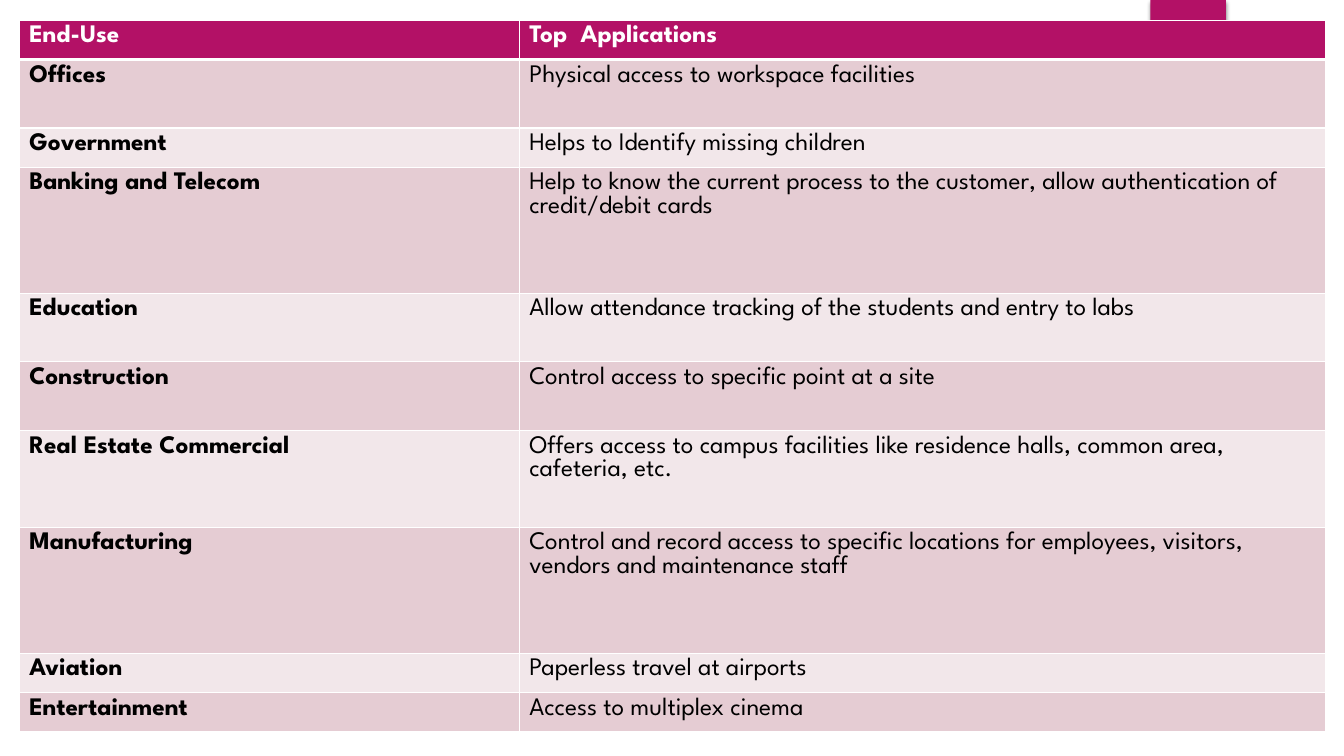
from lxml import etree
from pptx import Presentation
from pptx.dml.color import RGBColor
from pptx.enum.shapes import MSO_SHAPE
from pptx.oxml import parse_xml
from pptx.oxml.ns import nsdecls, qn
from pptx.util import Inches, Pt

RECTANGLE = MSO_SHAPE.RECTANGLE

MAGENTA = "B31166"
ROSE = "E5CCD3"
PALE_ROSE = "F2E7EA"
WHITE = "FFFFFF"
BLACK = "000000"

COLUMN_WIDTHS = [4.96, 8]
# Row height, end-use, top application
ROWS = [
    (0.39, "End-Use", "Top  Applications"),
    (0.68, "Offices", "Physical access to workspace facilities"),
    (0.39, "Government", "Helps to Identify missing children"),
    (1.25, "Banking and Telecom",
     "Help to know the current process to the customer, "
     "allow authentication of credit/debit cards"),
    (0.68, "Education", "Allow attendance tracking of the students and entry to labs"),
    (0.68, "Construction", "Control access to specific point at a site"),
    (0.96, "Real Estate Commercial",
     "Offers access to campus facilities like residence halls, "
     "common area, cafeteria, etc."),
    (1.25, "Manufacturing",
     "Control and record access to specific locations for employees, "
     "visitors, vendors and maintenance staff"),
    (0.39, "Aviation", "Paperless travel at airports"),
    (0.39, "Entertainment", "Access to multiplex cinema"),
]


def color(hex_value):
    return RGBColor.from_string(hex_value)


class SlideBuilder:
    def __init__(self, slide, font="League Spartan", size=18):
        self.slide = slide
        self.font = font
        self.size = size

    def background(self, fill):
        self.slide.background.fill.solid()
        self.slide.background.fill.fore_color.rgb = color(fill)

    def tab(self, left, top, width, height, fill):
        """Add a plain rectangle with a soft shadow below it."""
        shape = self.slide.shapes.add_shape(
            RECTANGLE, Inches(left), Inches(top), Inches(width), Inches(height))
        shape.fill.solid()
        shape.fill.fore_color.rgb = color(fill)
        shape.line.fill.background()
        shape.shadow.inherit = False
        effects = shape.element.spPr.find(qn("a:effectLst"))
        effects.append(parse_xml(
            f'<a:outerShdw {nsdecls("a")} blurRad="{Pt(3)}" dist="{Pt(2)}" '
            f'dir="5400000" rotWithShape="0"><a:srgbClr val="{BLACK}">'
            '<a:alpha val="45000"/></a:srgbClr></a:outerShdw>'))

    def table(self, left, top, column_widths, rows):
        heights = [row[0] for row in rows]
        frame = self.slide.shapes.add_table(
            len(rows), len(column_widths), Inches(left), Inches(top),
            Inches(sum(column_widths)), Inches(sum(heights)))
        table = frame.table
        for column, width in zip(table.columns, column_widths):
            column.width = Inches(width)
        for row_index, (height, *texts) in enumerate(rows):
            table.rows[row_index].height = Inches(height)
            header = row_index == 0
            band = ROSE if row_index % 2 else PALE_ROSE
            for column_index, text in enumerate(texts):
                cell = table.cell(row_index, column_index)
                cell.fill.solid()
                cell.fill.fore_color.rgb = color(MAGENTA if header else band)
                self.borders(cell, bottom=3 if header else 1)
                self.run(cell.text_frame.paragraphs[0], text,
                         WHITE if header else BLACK, header or column_index == 0)

    def borders(self, cell, bottom):
        properties = cell._tc.get_or_add_tcPr()
        sides = [("lnL", 1), ("lnR", 1), ("lnT", 1), ("lnB", bottom)]
        for position, (side, width) in enumerate(sides):
            line = etree.Element(qn(f"a:{side}"), w=str(Pt(width)))
            fill = etree.SubElement(line, qn("a:solidFill"))
            etree.SubElement(fill, qn("a:srgbClr"), val=WHITE)
            properties.insert(position, line)

    def run(self, paragraph, text, text_color, bold):
        run = paragraph.add_run()
        run.text = text
        run.font.name = self.font
        run.font.size = Pt(self.size)
        run.font.bold = bold
        run.font.color.rgb = color(text_color)


def main():
    presentation = Presentation()
    presentation.slide_width = Inches(13.33)
    presentation.slide_height = Inches(7.5)
    slide = presentation.slides.add_slide(presentation.slide_layouts[6])
    builder = SlideBuilder(slide)
    builder.background(WHITE)
    builder.tab(11.41, 0, 0.75, 1.25, MAGENTA)
    builder.table(0.19, 0.2, COLUMN_WIDTHS, ROWS)
    presentation.save("out.pptx")


if __name__ == "__main__":
    main()
